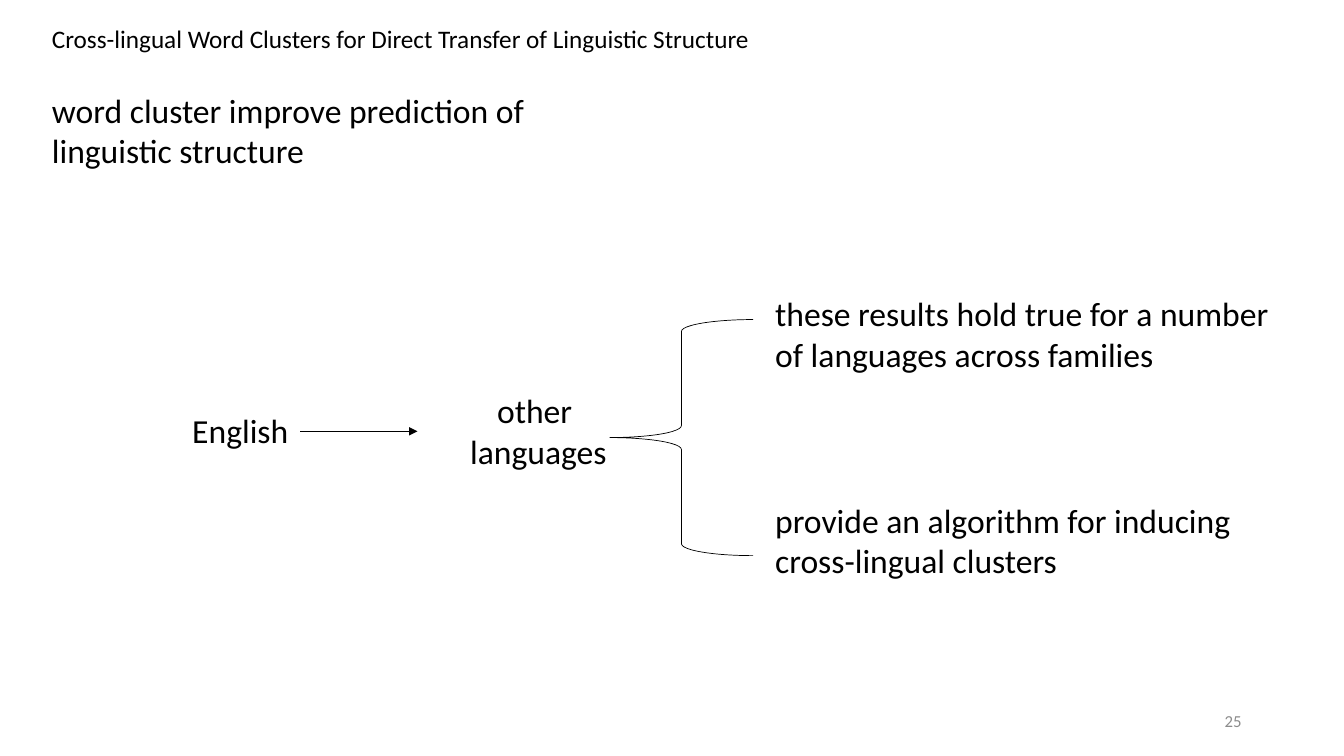
from pptx import Presentation
from pptx.dml.color import RGBColor
from pptx.enum.shapes import MSO_CONNECTOR, MSO_SHAPE
from pptx.enum.text import MSO_ANCHOR, MSO_AUTO_SIZE, PP_ALIGN
from pptx.oxml.ns import qn
from pptx.util import Inches, Pt
from lxml import etree

LEFT, CENTER, RIGHT = PP_ALIGN.LEFT, PP_ALIGN.CENTER, PP_ALIGN.RIGHT
TOP, MIDDLE = MSO_ANCHOR.TOP, MSO_ANCHOR.MIDDLE
GROW, FIXED = MSO_AUTO_SIZE.SHAPE_TO_FIT_TEXT, MSO_AUTO_SIZE.NONE
STRAIGHT, LEFT_BRACE = MSO_CONNECTOR.STRAIGHT, MSO_SHAPE.LEFT_BRACE

COLUMNS, ROWS = 32, 18
BLACK, GREY = "000000", "8C8C8C"


def color(value):
    return RGBColor.from_string(value)


class Diagram:
    """Draws on one slide; all lengths are grid columns and rows."""

    font_name = "Calibri"
    line_width = Pt(0.5)

    def __init__(self, deck):
        self.column = deck.slide_width / COLUMNS
        self.row = deck.slide_height / ROWS
        self.shapes = deck.slides.add_slide(deck.slide_layouts[6]).shapes

    def place(self, x, y, width, height):
        return (round(x * self.column), round(y * self.row),
                round(width * self.column), round(height * self.row))

    def text(self, area, words, size=24, ink=BLACK, align=LEFT, **frame_format):
        frame = self.shapes.add_textbox(*self.place(*area)).text_frame
        frame_values = {"word_wrap": True, "auto_size": GROW,
                        "vertical_anchor": TOP, **frame_format}
        for name, value in frame_values.items():
            setattr(frame, name, value)
        frame.text = words
        for paragraph in frame.paragraphs:
            paragraph.alignment = align
            for name, value in {"name": self.font_name, "size": Pt(size)}.items():
                setattr(paragraph.font, name, value)
            paragraph.font.color.rgb = color(ink)

    def outline(self, line):
        line.width = self.line_width
        line.color.rgb = color(BLACK)

    def brace(self, area):
        brace = self.shapes.add_shape(LEFT_BRACE, *self.place(*area))
        brace.shadow.inherit = False
        brace.fill.background()
        self.outline(brace.line)

    def arrow(self, start, end, y):
        x1, y1, x2, y2 = self.place(start, y, end, y)
        arrow = self.shapes.add_connector(STRAIGHT, x1, y1, x2, y2)
        self.outline(arrow.line)
        properties = arrow.line._get_or_add_ln()
        etree.SubElement(properties, qn("a:tailEnd"), type="triangle")
        etree.SubElement(properties.getparent(), qn("a:effectLst"))


def main():
    deck = Presentation()
    deck.slide_width, deck.slide_height = Inches(13.33), Inches(7.5)
    diagram = Diagram(deck)

    # Heading and page number
    diagram.text((1, 0.43, 17.28, 0.96),
                 "Cross-lingual Word Clusters for Direct Transfer of Linguistic Structure",
                 size=18, word_wrap=False)
    diagram.text((22.6, 16.68, 7.2, 0.96), "25", size=12, ink=GREY, align=RIGHT,
                 auto_size=FIXED, vertical_anchor=MIDDLE)

    # Main claim
    diagram.text((1, 2.02, 14.7, 2.18),
                 "word cluster improve prediction of linguistic structure")

    # From English to other languages
    diagram.text((4.34, 9.65, 2.78, 1.2), "English")
    diagram.text((9.94, 9.17, 5.76, 2.18), "other \nlanguages", align=CENTER)
    diagram.arrow(7.15, 9.94, 10.27)

    # Two contributions
    diagram.brace((14.52, 7.61, 3.41, 5.62))
    contributions = [
        (6.86, 12.41, "these results hold true for a number of languages across families"),
        (11.78, 12.86, "provide an algorithm for inducing cross-lingual clusters"),
    ]
    for y, width, contribution in contributions:
        diagram.text((18.22, y, width, 2.18), contribution)

    deck.save("out.pptx")


if __name__ == "__main__":
    main()
